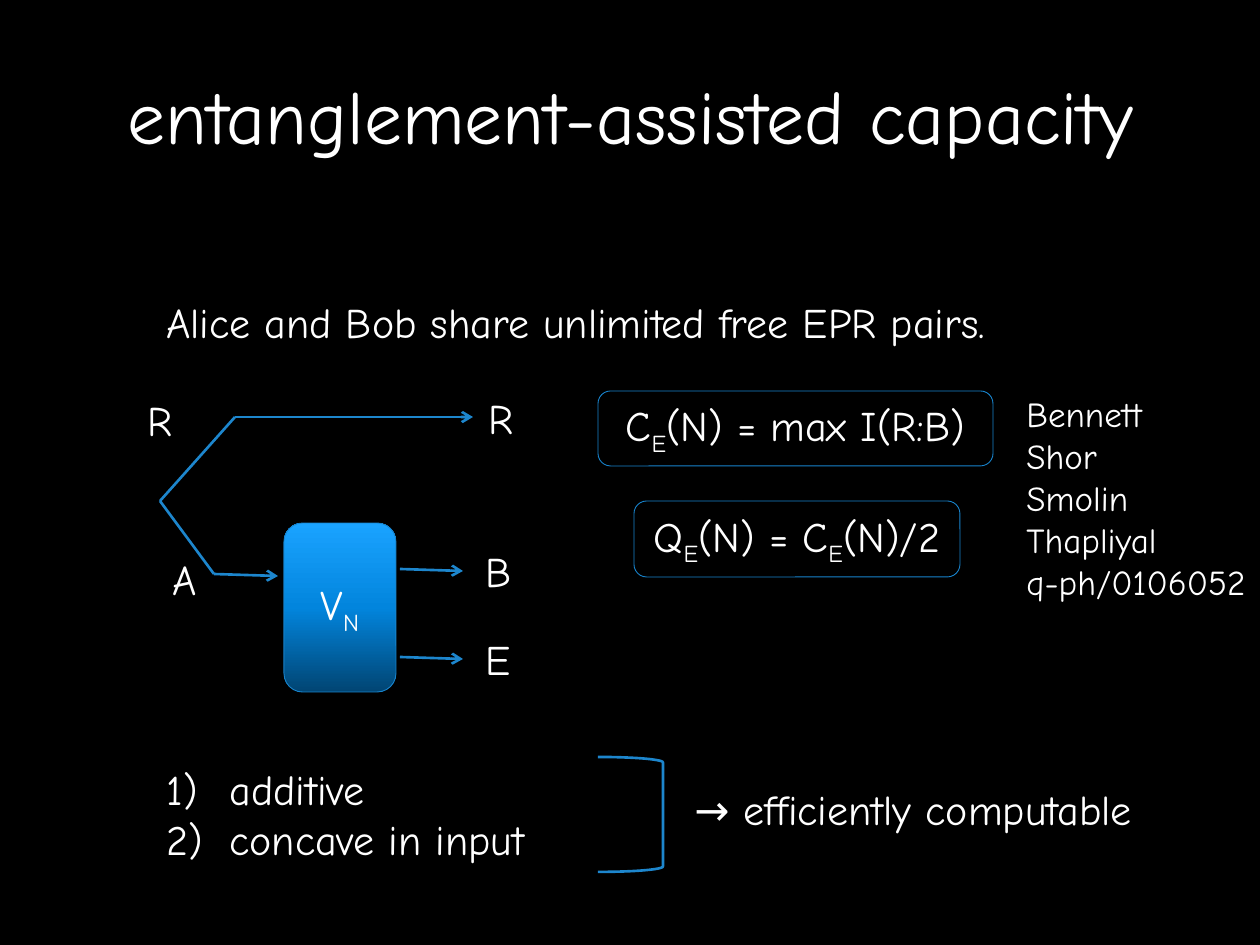
from lxml.etree import SubElement
from pptx import Presentation
from pptx.dml.color import RGBColor
from pptx.enum.shapes import MSO_CONNECTOR as Link, MSO_SHAPE as Form
from pptx.enum.text import MSO_ANCHOR as Anchor, MSO_AUTO_SIZE as Fit, PP_ALIGN as Align
from pptx.oxml import parse_xml
from pptx.oxml.ns import nsdecls, qn
from pptx.util import Emu, Pt

FONT, WHITE, BLACK = "Comic Neue", "FFFFFF", "000000"
EDGE, WIRE = "1884CD", "1D86CD"
SHADES = [(0, "014573"), (50, "0285DD"), (100, "1AA3FF")]

TITLE = ("entanglement-assisted capacity", (95, 16, 1071, 197))

# text, box in px; "|" switches between normal text and subscript
NOTES = [
    ("Alice and Bob share unlimited free EPR pairs.", (154, 290, 896, 63)),
    ("A", (160, 547, 54, 63)),
    ("B", (473, 539, 50, 63)),
    ("E", (473, 627, 49, 63)),
    ("R", (476, 386, 52, 63)),
    ("R", (135, 388, 52, 63)),
    ("→ efficiently computable", (682, 777, 501, 63)),
]
SOURCE = ["Bennett", "Shor", "Smolin", "Thapliyal\nq-ph/0106052"]
SOURCE_BOX = (1014, 386, 249, 224)
FACTS = ["additive", "concave in input"]
FACTS_BOX = (154, 757, 394, 115)

GATE = ("V|N|", (284, 523, 112, 169))
RULES = [
    ("C|E|(N) = max I(R:B)", (598, 391, 395, 75)),
    ("Q|E|(N) = C|E|(N)/2", (634, 501, 326, 76)),
]
BRACKET = (598, 757, 65, 115)

SPLIT, UP, DOWN = (160, 501), (235, 417), (214, 574)
WIRES = [(SPLIT, UP), (SPLIT, DOWN)]
ARROWS = [
    (UP, (473, 417)),
    (DOWN, (278, 576)),
    ((400, 569), (463, 571)),
    ((400, 657), (463, 659)),
]


def px(*nums):
    return [Emu(round(n * 914400 / 126)) for n in nums]


def rgb(code):
    return RGBColor.from_string(code)


def write(frame, lines, size=24, align=Align.LEFT, number=False):
    for i, line in enumerate(lines):
        para = frame.paragraphs[0] if i == 0 else frame.add_paragraph()
        para.alignment = align
        if number:
            props = para._p.get_or_add_pPr()
            indent = px(63)[0]
            props.set("marL", str(indent))
            props.set("indent", str(-indent))
            SubElement(props, qn("a:buFont"), typeface=FONT)
            SubElement(props, qn("a:buAutoNum"), type="arabicParenR")
        for j, row in enumerate(line.split("\n")):
            if j:
                para.add_line_break()
            for k, part in enumerate(row.split("|")):
                if not part:
                    continue
                run = para.add_run()
                run.text = part
                font = run.font
                font.name, font.size = FONT, Pt(size)
                font.color.rgb = rgb(WHITE)
                if k % 2:
                    font._element.set("baseline", "-25000")


def add_note(lines, box, size=24, number=False):
    frame = slide.shapes.add_textbox(*px(*box)).text_frame
    frame.word_wrap, frame.auto_size = False, Fit.SHAPE_TO_FIT_TEXT
    write(frame, lines, size, number=number)


def add_form(form, box, color, width, text=""):
    shape = slide.shapes.add_shape(form, *px(*box))
    shape.shadow.inherit = False
    shape.fill.background()
    shape.line.color.rgb, shape.line.width = rgb(color), Pt(width)
    if text:
        shape.text_frame.vertical_anchor = Anchor.MIDDLE
        write(shape.text_frame, [text], align=Align.CENTER)
    return shape


def shade(shape):
    """Fill a shape with the blue gradient, dark at the bottom."""
    stops = "".join(f'<a:gs pos="{at * 1000}"><a:srgbClr val="{code}"/></a:gs>'
                    for at, code in SHADES)
    props = shape._element.spPr
    old = props.find(qn("a:noFill"))
    props.replace(old, parse_xml(
        f'<a:gradFill {nsdecls("a")} rotWithShape="1"><a:gsLst>{stops}</a:gsLst>'
        '<a:lin ang="16200000" scaled="0"/></a:gradFill>'))


def add_wire(start, end, arrow=False):
    wire = slide.shapes.add_connector(Link.STRAIGHT, *px(*start, *end))
    wire.line.color.rgb, wire.line.width = rgb(WIRE), Pt(1.5)
    if arrow:
        SubElement(wire.line._get_or_add_ln(), qn("a:tailEnd"), type="arrow")
    SubElement(wire._element.spPr, qn("a:effectLst"))


deck = Presentation()
deck.slide_width, deck.slide_height = px(1260, 945)
slide = deck.slides.add_slide(deck.slide_layouts[6])
back = slide.background.fill
back.solid()
back.fore_color.rgb = rgb(BLACK)

text, box = TITLE
head = slide.shapes.add_textbox(*px(*box)).text_frame
head.word_wrap, head.vertical_anchor = True, Anchor.MIDDLE
write(head, [text], 43.2, Align.CENTER)

text, box = GATE
shade(add_form(Form.ROUNDED_RECTANGLE, box, EDGE, 0.5, text))
for text, box in RULES:
    add_form(Form.ROUNDED_RECTANGLE, box, EDGE, 0.5, text)
add_form(Form.RIGHT_BRACKET, BRACKET, WIRE, 1.5)

for start, end in WIRES:
    add_wire(start, end)
for start, end in ARROWS:
    add_wire(start, end, arrow=True)

for text, box in NOTES:
    add_note([text], box)
add_note(SOURCE, SOURCE_BOX, size=20)
add_note(FACTS, FACTS_BOX, number=True)

deck.save("out.pptx")
